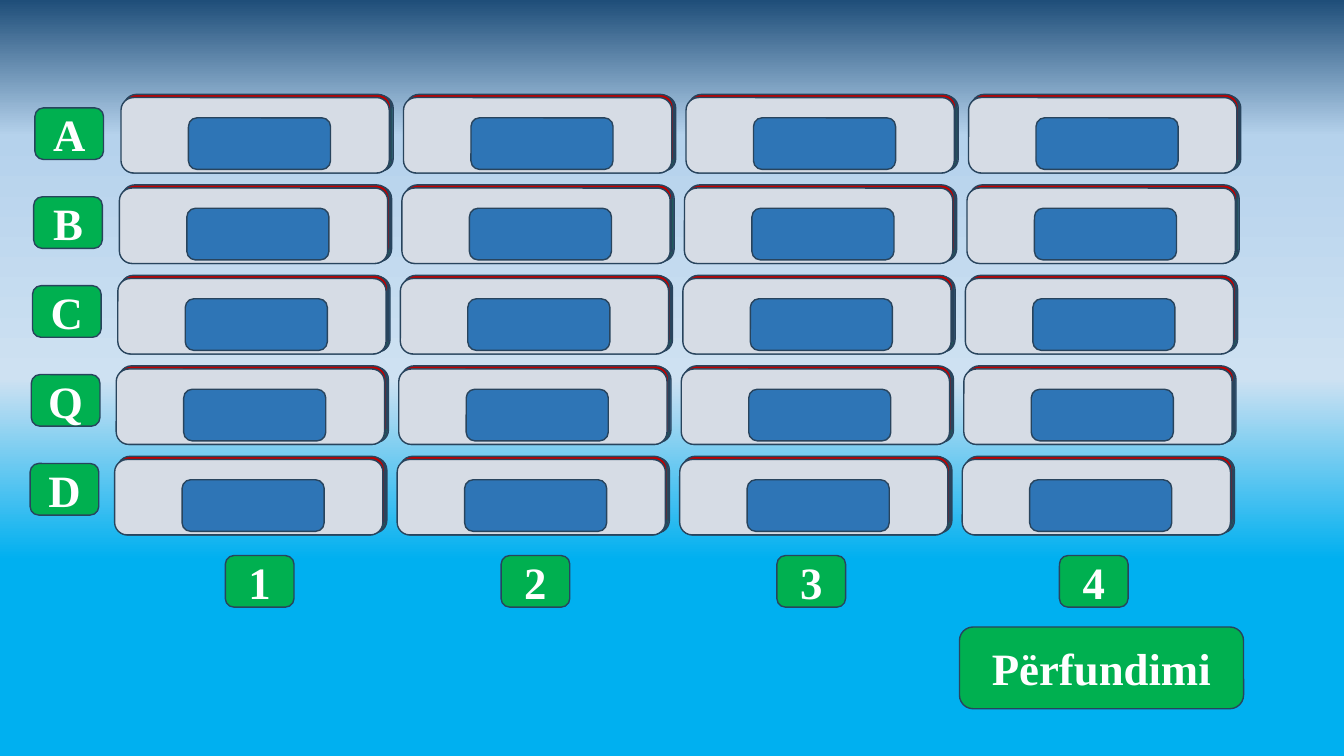
from copy import deepcopy

from pptx import Presentation
from pptx import util as u
from pptx.dml.color import RGBColor
from pptx.enum import shapes, text

NAVY = RGBColor(0x1F, 0x4E, 0x79)
PALE_BLUE = RGBColor(0xB5, 0xD2, 0xEC)
PALEST_BLUE = RGBColor(0xCE, 0xE1, 0xF2)
SKY = RGBColor(0x00, 0xB0, 0xF0)
OUTLINE = RGBColor(0x28, 0x44, 0x5D)
BLUE = RGBColor(0x5B, 0x9B, 0xD5)
GREEN = RGBColor(0x00, 0xB0, 0x50)
RED = RGBColor(0xC0, 0x00, 0x00)
WHITE = RGBColor(0xFF, 0xFF, 0xFF)
GREY = RGBColor(0xD6, 0xDC, 0xE5)
BUTTON_BLUE = RGBColor(0x2E, 0x75, 0xB6)

presentation = Presentation()
presentation.slide_width = u.Cm(33.87)
presentation.slide_height = u.Cm(19.05)
slide = presentation.slides.add_slide(presentation.slide_layouts[6])

fill = slide.background.fill
fill.gradient()
fill.gradient_angle = 270
stop_list = slide.background._cSld.xpath(".//a:gsLst")[0]
for extra_stop in range(2):
    stop_list.append(deepcopy(stop_list[0]))
sky_stops = [(0, NAVY), (0.18, PALE_BLUE), (0.5, PALEST_BLUE), (0.74, SKY)]
for stop, (position, color) in zip(fill.gradient_stops, sky_stops):
    stop.position = position
    stop.color.rgb = color


def add_box(left, top, width, height, color):
    shape = slide.shapes.add_shape(
        shapes.MSO_SHAPE.ROUNDED_RECTANGLE,
        u.Cm(left), u.Cm(top), u.Cm(width), u.Cm(height))
    shape.shadow.inherit = False
    shape.fill.solid()
    shape.fill.fore_color.rgb = color
    shape.line.color.rgb = OUTLINE
    shape.line.width = u.Pt(1)
    return shape


def add_label(left, top, width, height, wording):
    shape = add_box(left, top, width, height, GREEN)
    shape.text_frame.vertical_anchor = text.MSO_ANCHOR.MIDDLE
    paragraph = shape.text_frame.paragraphs[0]
    paragraph.alignment = text.PP_ALIGN.CENTER
    run = paragraph.add_run()
    run.text = wording
    run.font.name = "Times New Roman"
    run.font.size = u.Pt(32)
    run.font.bold = True
    run.font.color.rgb = WHITE


card_layers = [
    (0.1, -0.05, 6.76, 1.9, BLUE),
    (0.1, -0.05, 6.73, 1.9, GREEN),
    (0.07, -0.08, 6.73, 1.9, RED),
    (0.02, 0, 6.73, 1.9, WHITE),
    (0, 0, 6.76, 1.9, GREY),
    (1.7, 0.51, 3.58, 1.3, BUTTON_BLUE),
]
for row in range(5):
    for column in range(4):
        card_left = 3.05 + 7.12 * column - 0.04 * row
        card_top = 2.46 + 2.28 * row
        for shift_x, shift_y, width, height, color in card_layers:
            add_box(card_left + shift_x, card_top + shift_y, width, height, color)

add_label(24.18, 15.8, 7.16, 2.06, "Përfundimi")
for row, letter in enumerate("ABCQD"):
    add_label(0.88 - 0.03 * row, 2.72 + 2.24 * row, 1.73, 1.3, letter)
for number, left in enumerate([5.68, 12.63, 19.58, 26.7], start=1):
    add_label(left, 14, 1.73, 1.3, str(number))

presentation.save("out.pptx")
